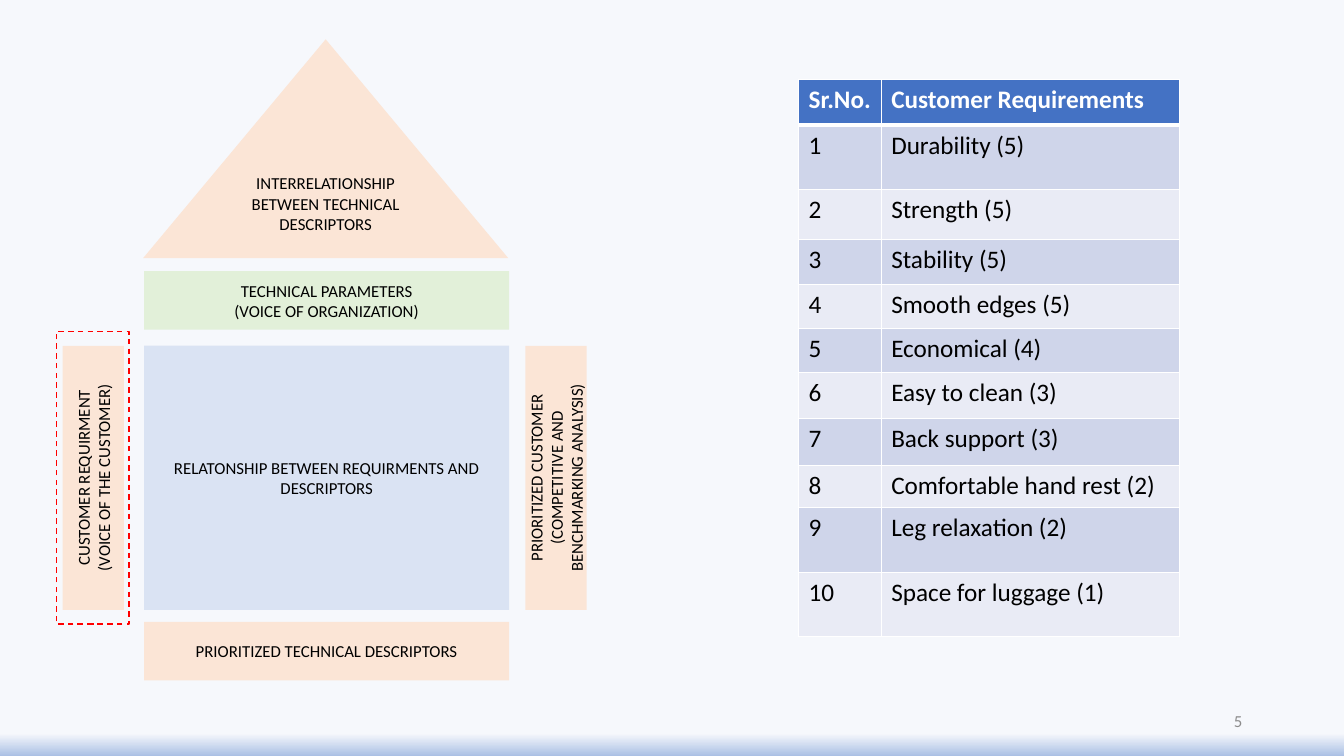
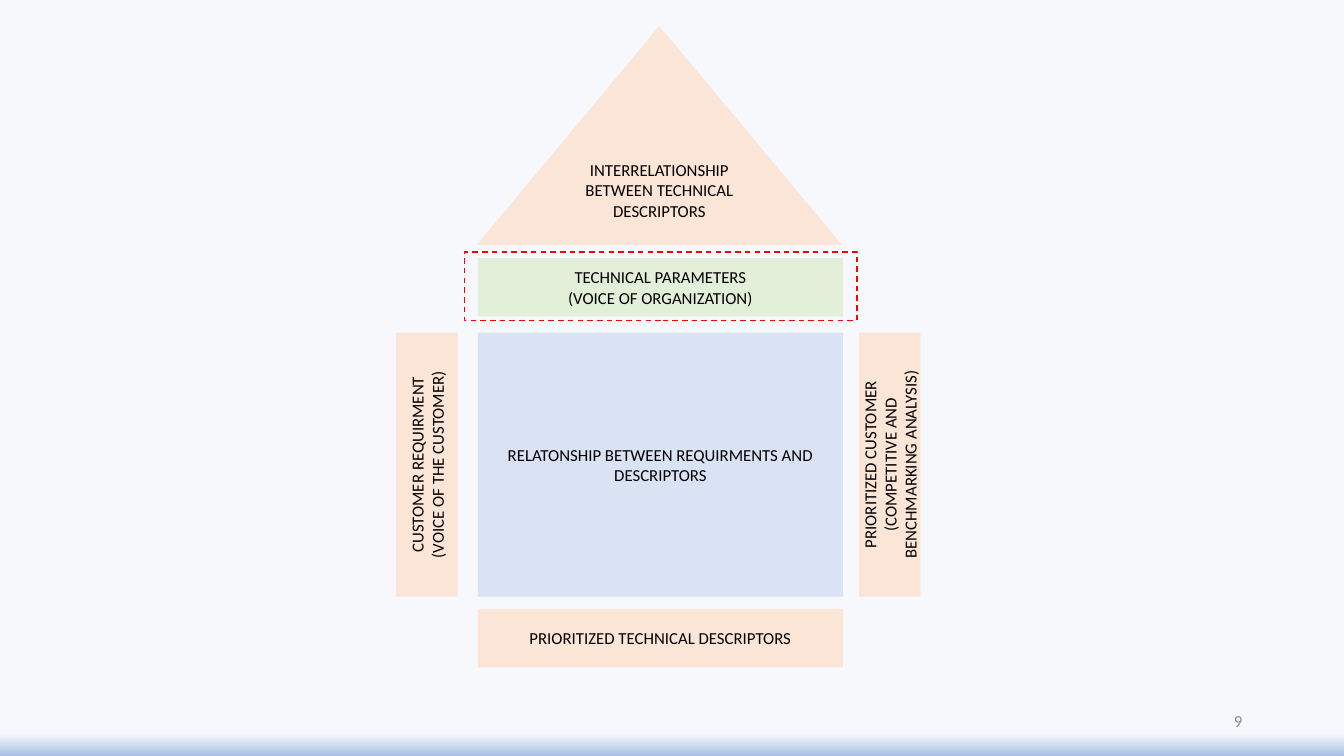
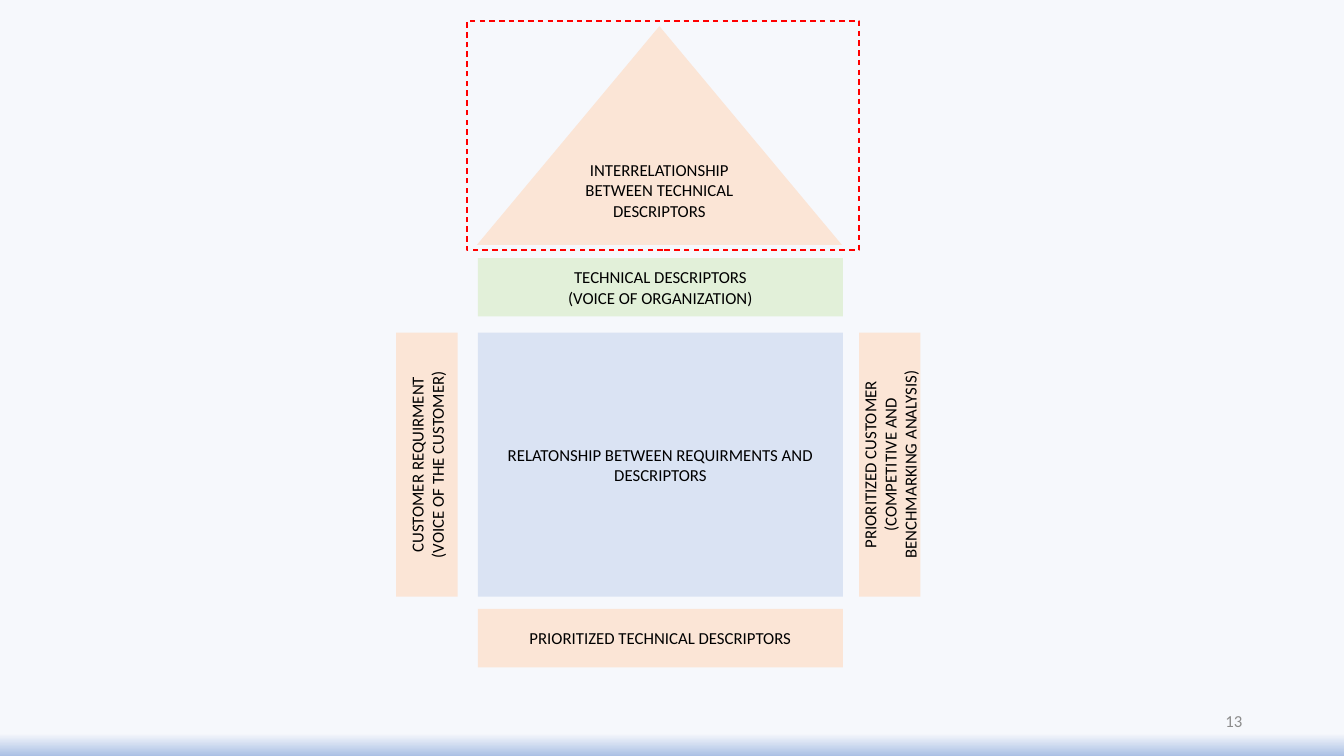
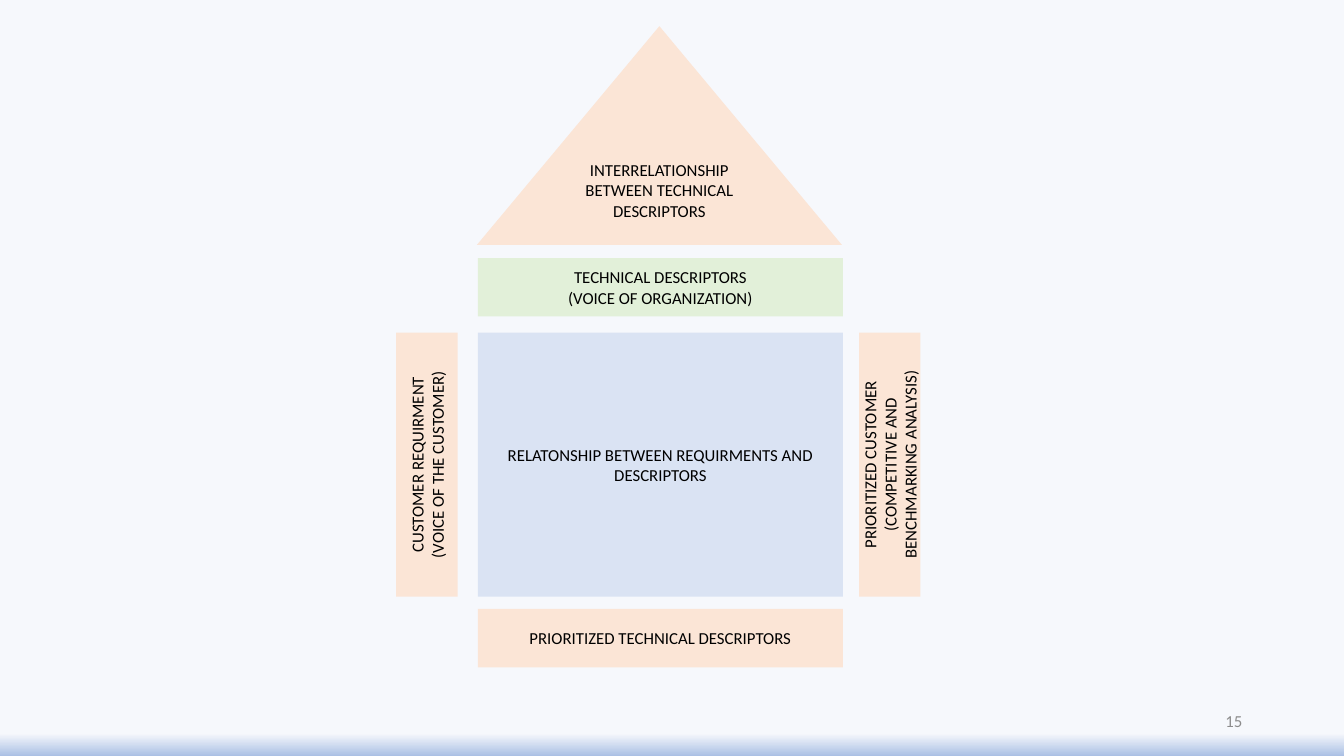
from lxml import etree
from pptx import Presentation
from pptx import util as u
from pptx.dml.color import RGBColor
from pptx.enum import dml, shapes, text
from pptx.oxml.ns import qn

PEACH, GREEN, BLUE = "FBE5D6", "E2F0D9", "DAE3F3"
BLACK, WHITE, RED, GREY = "000000", "FFFFFF", "FF0000", "8C8C8C"
HEADER, BANDS = "4472C4", ("CFD5EA", "E9EBF5")
PAGE, FOOT = "F6F8FC", "ABC0E4"

REQUIREMENTS = [
    ("Durability (5)", 0.64), ("Strength (5)", 0.5), ("Stability (5)", 0.44),
    ("Smooth edges (5)", 0.44), ("Economical (4)", 0.44), ("Easy to clean (3)", 0.45),
    ("Back support (3)", 0.47), ("Comfortable hand rest (2)", 0.42),
    ("Leg relaxation (2)", 0.64), ("Space for luggage (1)", 0.64),
]


def rgb(code):
    return RGBColor.from_string(code)


class Deck:
    FONT = "Calibri"

    def __init__(self):
        self.prs = Presentation()
        self.prs.slide_width, self.prs.slide_height = u.Inches(13.33), u.Inches(7.5)
        self.slide = None
        # Shared background: pale page with a blue band along the foot
        fill = self.prs.slide_master.background.fill
        fill.gradient()
        fill.gradient_angle = 270
        for stop, (position, code) in zip(fill.gradient_stops, [(0.97, PAGE), (1, FOOT)]):
            stop.position = position
            stop.color.rgb = rgb(code)

    def new_slide(self, number):
        self.slide = self.prs.slides.add_slide(self.prs.slide_layouts[6])
        footer = self.slide.shapes.add_textbox(*map(u.Inches, (9.42, 6.95, 3, 0.4)))
        self.add_lines(footer.text_frame, [str(number)], 12, GREY, text.PP_ALIGN.RIGHT)

    def add_lines(self, frame, lines, size, color, align, bold=False,
                  anchor=text.MSO_ANCHOR.MIDDLE):
        frame.word_wrap = True
        frame.vertical_anchor = anchor
        for i, line in enumerate(lines):
            paragraph = frame.add_paragraph() if i else frame.paragraphs[0]
            paragraph.alignment = align
            run = paragraph.add_run()
            run.text = line
            run.font.name, run.font.size, run.font.bold = self.FONT, u.Pt(size), bold
            run.font.color.rgb = rgb(color)

    def block(self, x, y, w, h, color, *lines, kind=shapes.MSO_SHAPE.RECTANGLE):
        block = self.slide.shapes.add_shape(kind, *map(u.Inches, (x, y, w, h)))
        block.shadow.inherit = False
        block.fill.solid()
        block.fill.fore_color.rgb = rgb(color)
        block.line.fill.background()
        self.add_lines(block.text_frame, lines, 12, BLACK, text.PP_ALIGN.CENTER)
        return block

    def side_block(self, x, y, w, h, color, *lines):
        """Upright block, read from bottom to top; x, y, w, h as seen."""
        block = self.block(x + (w - h) / 2, y + (h - w) / 2, h, w, color, *lines)
        block.rotation = 270

    def highlight(self, x, y, w, h):
        frame = self.slide.shapes.add_shape(
            shapes.MSO_SHAPE.RECTANGLE, *map(u.Inches, (x, y, w, h)))
        frame.shadow.inherit = False
        frame.fill.background()
        frame.line.color.rgb = rgb(RED)
        frame.line.width = u.Pt(1)
        frame.line.dash_style = dml.MSO_LINE.DASH

    def house(self, x, y, technical):
        """House of quality; x is the left of the body, y the tip of the roof."""
        width, floor, side_w, body_h = 3.62, 0.58, 0.61, 2.62
        body_y = y + 3.04
        self.block(x - 0.01, y, width, 2.17, PEACH,
                   "INTERRELATIONSHIP BETWEEN TECHNICAL DESCRIPTORS",
                   kind=shapes.MSO_SHAPE.ISOSCELES_TRIANGLE)
        self.block(x, y + 2.3, width, floor, GREEN, technical, "(VOICE OF ORGANIZATION)")
        self.block(x, body_y, width, body_h, BLUE,
                   "RELATONSHIP BETWEEN REQUIRMENTS AND DESCRIPTORS")
        self.side_block(x - 0.81, body_y, side_w, body_h, PEACH,
                        "CUSTOMER REQUIRMENT", "(VOICE OF THE CUSTOMER)")
        self.side_block(x + 3.78, body_y, side_w, body_h, PEACH,
                        "PRIORITIZED CUSTOMER (COMPETITIVE AND BENCHMARKING ANALYSIS)")
        self.block(x, y + 5.78, width, floor, PEACH, "PRIORITIZED TECHNICAL DESCRIPTORS")

    def borders(self, cell, top, bottom):
        properties = cell._tc.get_or_add_tcPr()
        for side, points in (("L", 1), ("R", 1), ("T", top), ("B", bottom)):
            edge = etree.SubElement(properties, qn("a:ln" + side), w=str(u.Pt(points)))
            solid = etree.SubElement(edge, qn("a:solidFill"))
            etree.SubElement(solid, qn("a:srgbClr"), val=WHITE)

    def table(self, x, y, widths, heights, rows):
        table = self.slide.shapes.add_table(
            len(rows), len(widths),
            *map(u.Inches, (x, y, sum(widths), sum(heights)))).table
        for column, width in zip(table.columns, widths):
            column.width = u.Inches(width)
        for r, (row, height) in enumerate(zip(rows, heights)):
            table.rows[r].height = u.Inches(height)
            header = r == 0
            for c, value in enumerate(row):
                cell = table.cell(r, c)
                self.borders(cell, 3 if r == 1 else 1, 3 if header else 1)
                cell.fill.solid()
                cell.fill.fore_color.rgb = rgb(HEADER if header else BANDS[(r - 1) % 2])
                self.add_lines(cell.text_frame, [value], 18, WHITE if header else BLACK,
                               text.PP_ALIGN.LEFT, header, text.MSO_ANCHOR.TOP)


def main():
    deck = Deck()

    # Customer requirements beside the house
    deck.new_slide(5)
    deck.house(1.43, 0.39, "TECHNICAL PARAMETERS")
    deck.highlight(0.56, 3.29, 0.72, 2.9)
    rows = [("Sr.No.", "Customer Requirements")]
    rows += [(str(n), name) for n, (name, _) in enumerate(REQUIREMENTS, 1)]
    deck.table(7.92, 0.79, [0.82, 2.96], [0.45] + [h for _, h in REQUIREMENTS], rows)

    # Centred house, one part highlighted at a time
    for number, technical, area in [
        (9, "TECHNICAL PARAMETERS", (4.61, 2.5, 3.89, 0.68)),
        (13, "TECHNICAL DESCRIPTORS", (4.63, 0.21, 3.89, 2.27)),
        (15, "TECHNICAL DESCRIPTORS", None),
    ]:
        deck.new_slide(number)
        deck.house(4.74, 0.26, technical)
        if area:
            deck.highlight(*area)

    deck.prs.save("out.pptx")


if __name__ == "__main__":
    main()
